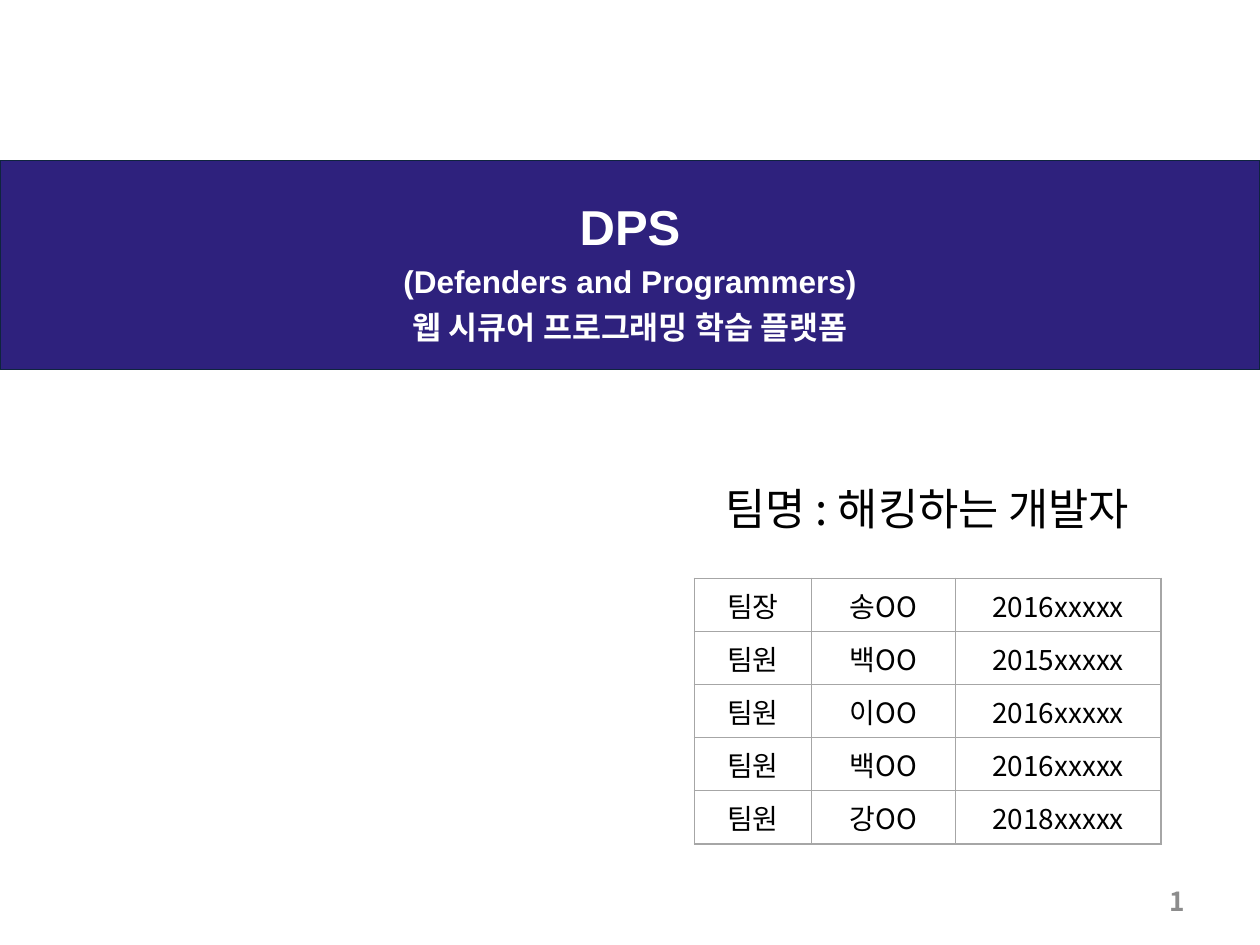
import dataclasses

import pptx
import pptx.dml.color
import pptx.enum.text
import pptx.oxml
import pptx.oxml.ns
import pptx.util
from pptx.util import Cm

ALIGN = pptx.enum.text.PP_ALIGN
ANCHOR = pptx.enum.text.MSO_ANCHOR


@dataclasses.dataclass(frozen=True)
class Theme:
    band: str = "2E217D"
    band_line: str = "0F243E"
    on_band: str = "FFFFFF"
    text: str = "000000"
    page_number: str = "8C8C8C"
    grid: str = "A6A6A6"
    latin_font: str = "Arial"
    korean_font: str = "Noto Sans CJK KR"
    title_size: int = 28
    subtitle_size: int = 18
    team_size: int = 25
    table_size: int = 16
    number_size: int = 15


THEME = Theme()
TITLE_LINES = [
    ("DPS", THEME.title_size),
    ("(Defenders and Programmers)", THEME.subtitle_size),
    ("웹 시큐어 프로그래밍 학습 플랫폼", THEME.subtitle_size),
]
MEMBERS = [
    ("팀장", "송OO", "2016xxxxx"),
    ("팀원", "백OO", "2015xxxxx"),
    ("팀원", "이OO", "2016xxxxx"),
    ("팀원", "백OO", "2016xxxxx"),
    ("팀원", "강OO", "2018xxxxx"),
]
COLUMN_WIDTHS = [Cm(2.36), Cm(2.9), Cm(4.14)]
ROW_HEIGHT = Cm(1.07)


def rgb(value):
    return pptx.dml.color.RGBColor.from_string(value)


def format_paragraph(paragraph, size, color, align=ALIGN.CENTER,
                     font_name=THEME.korean_font, bold=False):
    paragraph.alignment = align
    font = paragraph.font
    font.size = pptx.util.Pt(size)
    font.bold = bold
    font.color.rgb = rgb(color)
    font.name = font_name
    # East Asian typeface for the Hangul
    properties = paragraph._p.pPr.find(pptx.oxml.ns.qn("a:defRPr"))
    east_asian = pptx.oxml.parse_xml(
        f'<a:ea {pptx.oxml.ns.nsdecls("a")} typeface="{THEME.korean_font}"/>')
    properties.append(east_asian)


def add_title_band(slide, width):
    title = slide.shapes.title
    title.left, title.top, title.width, title.height = 0, Cm(3.23), width, Cm(4.22)
    title.fill.solid()
    title.fill.fore_color.rgb = rgb(THEME.band)
    title.line.color.rgb = rgb(THEME.band_line)
    title.line.width = pptx.util.Pt(0.75)
    frame = title.text_frame
    frame.auto_size = pptx.enum.text.MSO_AUTO_SIZE.NONE
    frame.vertical_anchor = ANCHOR.MIDDLE
    frame.text = "\n".join(text for text, _ in TITLE_LINES)
    for paragraph, (_, size) in zip(frame.paragraphs, TITLE_LINES):
        paragraph.line_spacing = 1.2
        format_paragraph(paragraph, size, THEME.on_band,
                         font_name=THEME.latin_font, bold=True)


def add_text(slide, text, left, top, width, height, anchor, **style):
    frame = slide.shapes.add_textbox(left, top, width, height).text_frame
    frame.word_wrap = True
    frame.vertical_anchor = anchor
    frame.text = text
    format_paragraph(frame.paragraphs[0], **style)


def add_borders(cell):
    properties = cell._tc.get_or_add_tcPr()
    for position, side in enumerate(("lnL", "lnR", "lnT", "lnB")):
        line = pptx.oxml.parse_xml(
            f'<a:{side} {pptx.oxml.ns.nsdecls("a")} w="{pptx.util.Pt(1)}">'
            f'<a:solidFill><a:srgbClr val="{THEME.grid}"/></a:solidFill></a:{side}>')
        properties.insert(position, line)


def add_member_table(slide, left, top):
    table = slide.shapes.add_table(
        len(MEMBERS), len(COLUMN_WIDTHS), left, top,
        sum(COLUMN_WIDTHS), ROW_HEIGHT * len(MEMBERS)).table
    table.first_row = False
    table.horz_banding = False
    for column, width in zip(table.columns, COLUMN_WIDTHS):
        column.width = width
    for row, member in zip(table.rows, MEMBERS):
        row.height = ROW_HEIGHT
        for cell, text in zip(row.cells, member):
            cell.text = text
            cell.vertical_anchor = ANCHOR.MIDDLE
            cell.margin_top = cell.margin_bottom = 0
            cell.fill.background()
            add_borders(cell)
            format_paragraph(cell.text_frame.paragraphs[0],
                             THEME.table_size, THEME.text)


def main():
    presentation = pptx.Presentation()
    presentation.slide_width = Cm(25.4)
    presentation.slide_height = Cm(19.05)
    title_only = presentation.slide_layouts.get_by_name("Title Only")
    slide = presentation.slides.add_slide(title_only)

    # Project title
    add_title_band(slide, presentation.slide_width)

    # Team name and members
    add_text(slide, "팀명 : 해킹하는 개발자", Cm(13.64), Cm(9.58), Cm(10.11), Cm(1.93),
             ANCHOR.TOP, size=THEME.team_size, color=THEME.text)
    add_member_table(slide, Cm(14), Cm(11.66))

    # Page number
    add_text(slide, "1", Cm(18.21), Cm(17.65), Cm(5.92), Cm(1.02), ANCHOR.MIDDLE,
             size=THEME.number_size, color=THEME.page_number,
             align=ALIGN.RIGHT, bold=True)

    presentation.save("out.pptx")


if __name__ == "__main__":
    main()
